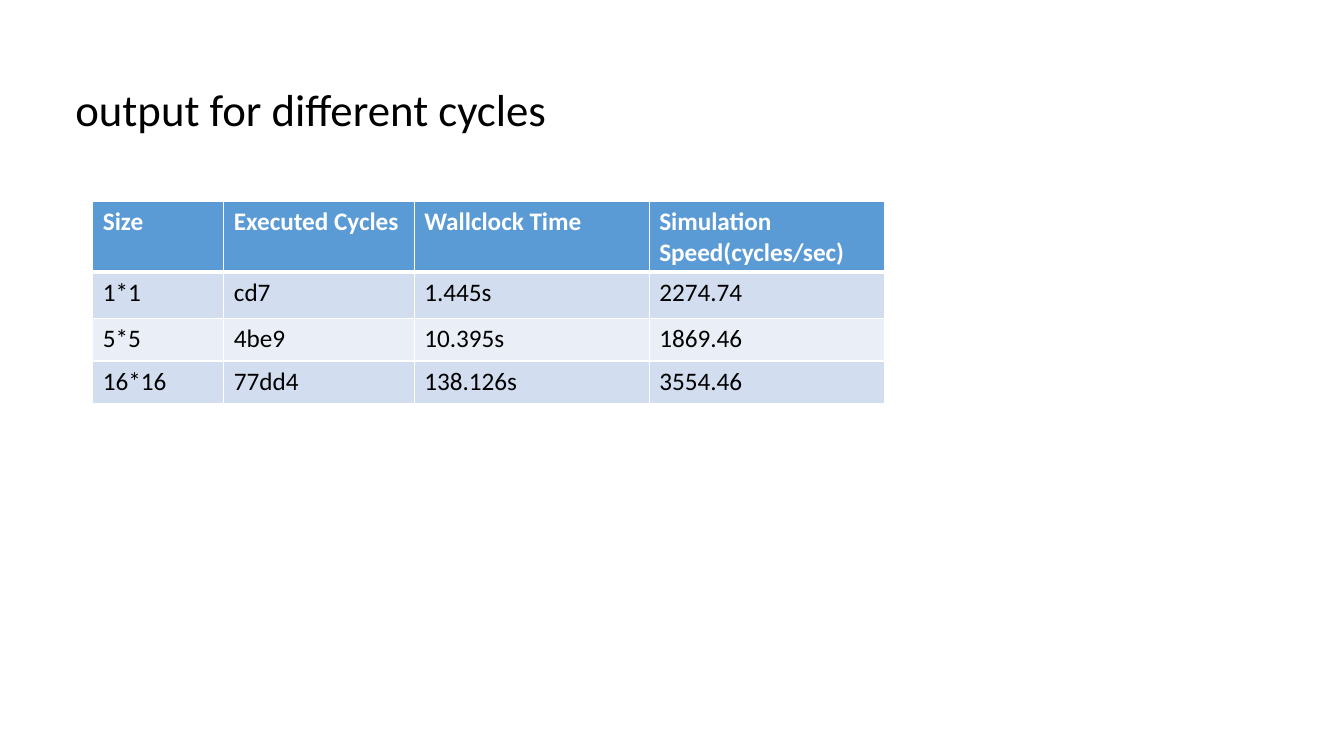
from lxml.etree import SubElement as SubEl
from pptx import Presentation as Deck
from pptx.dml.color import RGBColor as RGB
from pptx.oxml.ns import qn
from pptx.util import Cm, Pt

BLACK = RGB(0x00, 0x00, 0x00)
WHITE = RGB(0xFF, 0xFF, 0xFF)
BLUE = RGB(0x5B, 0x9B, 0xD5)
BANDS = [RGB(0xD2, 0xDE, 0xEF), RGB(0xEA, 0xEF, 0xF7)]
FONT = "Calibri"

WIDTHS = [3.3, 4.8, 5.92, 5.92]
HEIGHTS = [1.07, 1.17, 1.07, 1.07]
ROWS = [
    ["Size", "Executed Cycles", "Wallclock Time",
     "Simulation Speed(cycles/sec)"],
    ["1*1", "cd7", "1.445s", "2274.74"],
    ["5*5", "4be9", "10.395s", "1869.46"],
    ["16*16", "77dd4", "138.126s", "3554.46"],
]


def set_text(frame, text, size, color, bold=False):
    frame.text = text
    font = frame.paragraphs[0].runs[0].font
    font.name, font.size, font.bold = FONT, Pt(size), bold
    font.color.rgb = color


def add_title(slide, text):
    box = slide.shapes.add_textbox(Cm(1.65), Cm(1.93), Cm(23.65), Cm(1.63))
    box.text_frame.word_wrap = True
    set_text(box.text_frame, text, 32, BLACK)


def set_edges(cell, top, base):
    # Borders come before the fill in the cell properties
    props = cell._tc.get_or_add_tcPr()
    edges = [("L", 1), ("R", 1), ("T", top), ("B", base)]
    for place, (side, width) in enumerate(edges):
        line = SubEl(props, qn(f"a:ln{side}"), w=str(Pt(width)))
        fill = SubEl(line, qn("a:solidFill"))
        SubEl(fill, qn("a:srgbClr"), val=str(WHITE))
        props.insert(place, line)


def add_grid(slide):
    frame = slide.shapes.add_table(
        len(ROWS), len(WIDTHS), Cm(2.34), Cm(5.08),
        Cm(sum(WIDTHS)), Cm(sum(HEIGHTS)))
    table = frame.table
    for col, width in zip(table.columns, WIDTHS):
        col.width = Cm(width)
    for r, (row, height) in enumerate(zip(table.rows, HEIGHTS)):
        row.height = Cm(height)
        head = r == 0
        for cell, text in zip(row.cells, ROWS[r]):
            set_text(cell.text_frame, text, 18, WHITE if head else BLACK, head)
            cell.fill.solid()
            cell.fill.fore_color.rgb = BLUE if head else BANDS[(r - 1) % 2]
            # A thick rule parts the header from the data
            set_edges(cell, 3 if r == 1 else 1, 3 if head else 1)


def main():
    deck = Deck()
    deck.slide_width, deck.slide_height = Cm(33.87), Cm(19.05)
    slide = deck.slides.add_slide(deck.slide_layouts[6])

    # Heading and results
    add_title(slide, "output for different cycles")
    add_grid(slide)

    deck.save("out.pptx")


if __name__ == "__main__":
    main()
